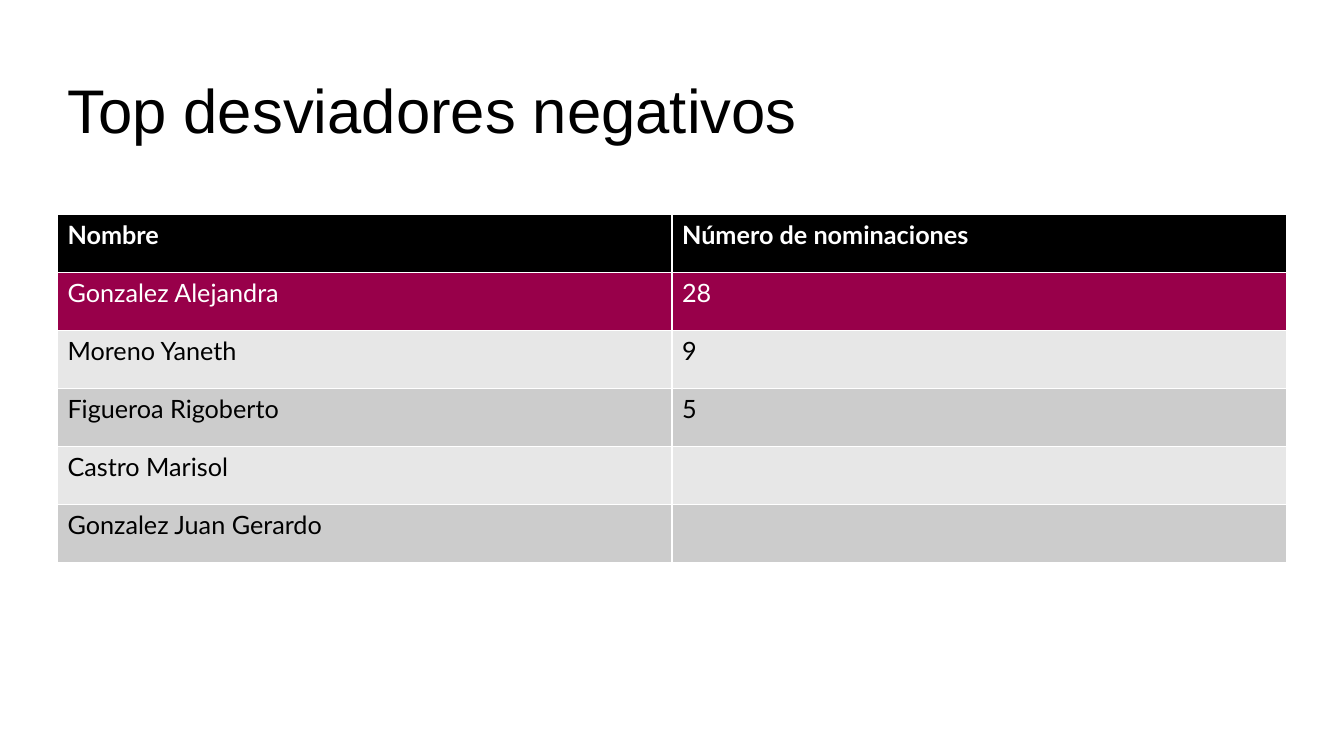
import pptx
import pptx.util
import pptx.dml.color
import pptx.enum.text

Inches = pptx.util.Inches

ROWS = [
    ("Nombre", "Número de nominaciones"),
    ("Gonzalez Alejandra", "28"),
    ("Moreno Yaneth", "9"),
    ("Figueroa Rigoberto", "5"),
    ("Castro Marisol", ""),
    ("Gonzalez Juan Gerardo", ""),
]
FILLS = ["000000", "98004A", "E7E7E7", "CCCCCC", "E7E7E7", "CCCCCC"]


def color(code):
    return pptx.dml.color.RGBColor.from_string(code)


def write(frame, text, size=18, font="Lato", ink="000000", bold=False, space=1.0):
    line = frame.paragraphs[0]
    line.line_spacing = space
    if not text:
        line.font.size = pptx.util.Pt(size)
        return
    run = line.add_run()
    run.text = text
    run.font.size = pptx.util.Pt(size)
    run.font.name = font
    run.font.bold = bold
    run.font.color.rgb = color(ink)


def add_title(slide, left, top, width, height):
    box = slide.shapes.add_textbox(
        Inches(left), Inches(top), Inches(width), Inches(height))
    frame = box.text_frame
    frame.word_wrap = True
    frame.vertical_anchor = pptx.enum.text.MSO_ANCHOR.MIDDLE
    write(frame, "Top desviadores negativos", size=44, font="Arial", space=0.9)


def add_names(slide, left, top, width, height):
    table = slide.shapes.add_table(
        len(ROWS), len(ROWS[0]),
        Inches(left), Inches(top), Inches(width), Inches(height)).table
    for r, (row, fill) in enumerate(zip(ROWS, FILLS)):
        for c, text in enumerate(row):
            cell = table.cell(r, c)
            cell.fill.solid()
            cell.fill.fore_color.rgb = color(fill)
            ink = "FFFFFF" if r < 2 else "000000"
            write(cell.text_frame, text, ink=ink, bold=r == 0)


def main():
    deck = pptx.Presentation()
    deck.slide_width = Inches(13.33)
    deck.slide_height = Inches(7.5)
    slide = deck.slides.add_slide(deck.slide_layouts[6])
    add_title(slide, 0.57, 0.4, 10.93, 1.45)
    add_names(slide, 0.57, 2.13, 12.19, 3.45)
    deck.save("out.pptx")


if __name__ == "__main__":
    main()
